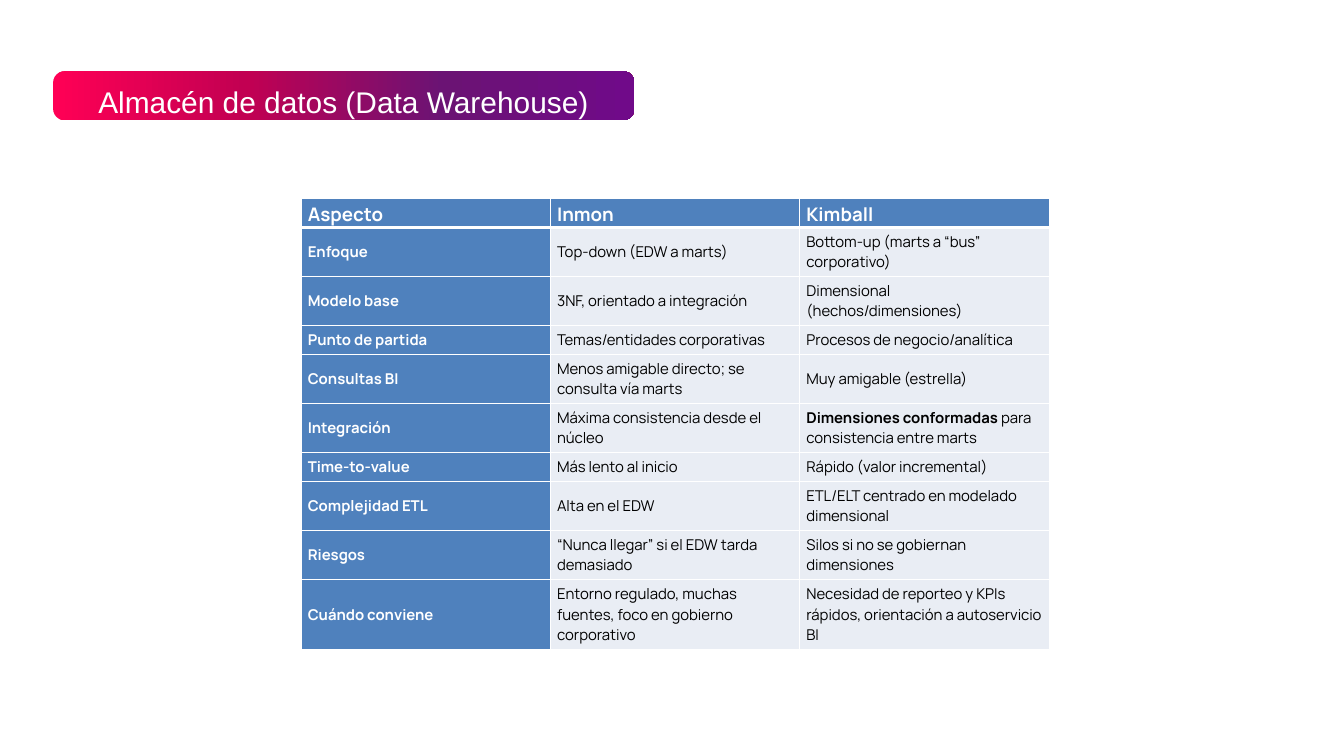
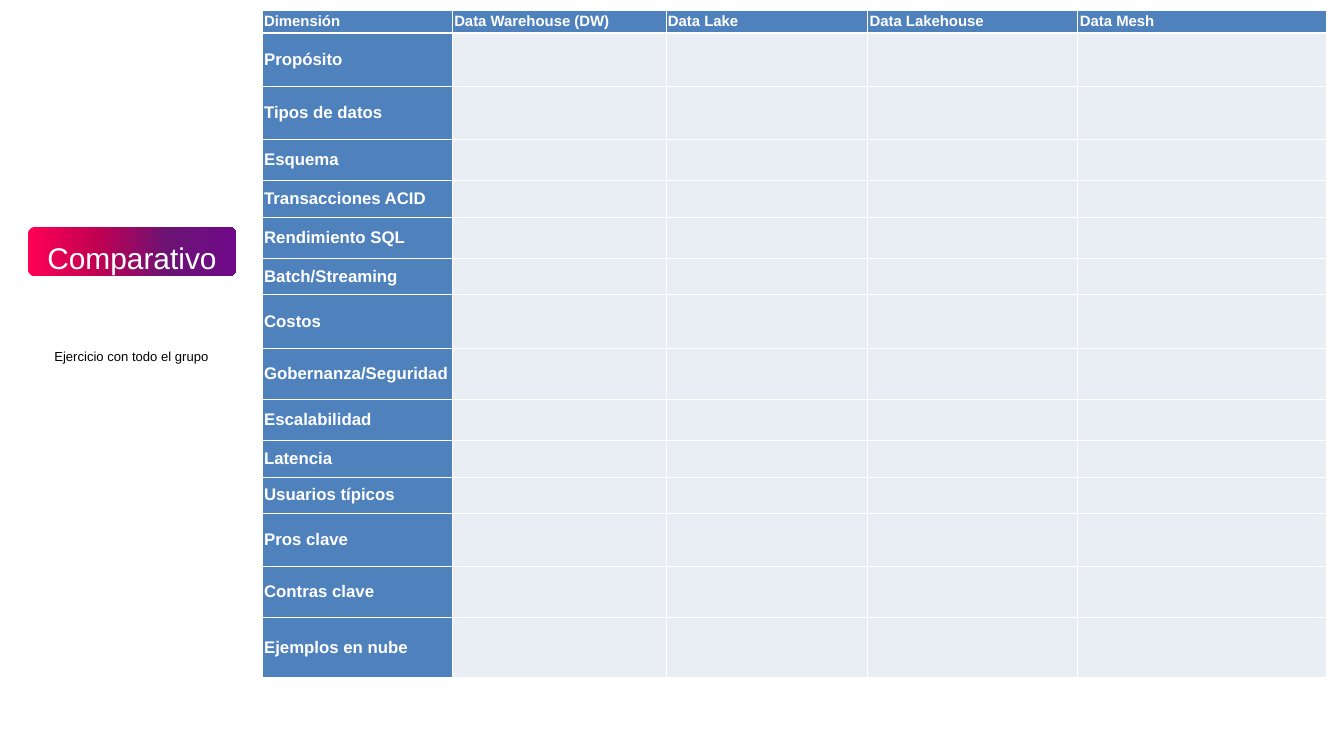
import pptx
import pptx.util
import pptx.dml.color
import pptx.enum.shapes
import pptx.enum.text
import pptx.oxml.ns
from lxml import etree

PX = 9144  # EMU per px, 100 px to the inch
COLORS = {"white": "FFFFFF", "black": "000000", "head": "4F81BD", "body": "E9EDF4"}
BANNER_STOPS = [(0, "FF0055"), (33, "C20052"), (67, "6B1374"), (100, "700A89")]

rgb = pptx.dml.color.RGBColor.from_string
Pt = pptx.util.Pt
qn = pptx.oxml.ns.qn


def add_banner(slide, left, top, width, radius, inset, text):
    """Title in white on a rounded bar with the shared gradient."""
    height = 73
    sp = slide.shapes.add_shape(
        pptx.enum.shapes.MSO_SHAPE.ROUNDED_RECTANGLE,
        left * PX, top * PX, width * PX, height * PX)
    sp.adjustments[0] = radius / height
    sp.shadow.inherit = False
    sp.line.fill.background()
    sp.fill.gradient()
    sp.fill.gradient_angle = 0
    stops = sp._element.spPr.find(".//" + qn("a:gsLst"))
    for gs in list(stops):
        stops.remove(gs)
    for percent, color in BANNER_STOPS:
        gs = etree.SubElement(stops, qn("a:gs"), pos=str(percent * 1000))
        etree.SubElement(gs, qn("a:srgbClr"), val=color)

    box = slide.shapes.add_textbox(
        (left + inset) * PX, (top + 8) * PX, (width - 2 * inset) * PX, height * PX)
    tf = box.text_frame
    tf.word_wrap = True
    tf.margin_left = tf.margin_right = tf.margin_top = tf.margin_bottom = 0
    p = tf.paragraphs[0]
    p.text = text
    p.alignment = pptx.enum.text.PP_ALIGN.CENTER
    p.line_spacing = 1.2
    font = p.runs[0].font
    font.size, font.name = Pt(32), "Arial"
    font.color.rgb = rgb(COLORS["white"])


def add_grid(slide, left, top, widths, heights, rows, font_name, sizes, margins):
    """Table with blue first row and column; **...** marks bold body text."""
    table = slide.shapes.add_table(
        len(heights), len(widths), left * PX, top * PX,
        sum(widths) * PX, sum(heights) * PX).table
    table.horz_banding = False
    for column, width in zip(table.columns, widths):
        column.width = width * PX
    for row, height in zip(table.rows, heights):
        row.height = height * PX

    for i, texts in enumerate(rows):
        for j in range(len(widths)):
            cell = table.cell(i, j)
            heading = i == 0 or j == 0
            cell.vertical_anchor = pptx.enum.text.MSO_ANCHOR.MIDDLE
            cell.margin_left = cell.margin_right = margins[0] * PX
            cell.margin_top = cell.margin_bottom = margins[1] * PX
            tcPr = cell._tc.get_or_add_tcPr()
            for side in "LRTB":
                thick = (i, side) in [(0, "B"), (1, "T")]
                ln = etree.SubElement(tcPr, qn("a:ln" + side), w=str(Pt(3 if thick else 1)))
                line_fill = etree.SubElement(ln, qn("a:solidFill"))
                etree.SubElement(line_fill, qn("a:srgbClr"), val=COLORS["white"])
            cell.fill.solid()
            cell.fill.fore_color.rgb = rgb(COLORS["head" if heading else "body"])
            if j >= len(texts):
                continue
            p = cell.text_frame.paragraphs[0]
            for k, part in enumerate(texts[j].split("**")):
                if not part:
                    continue
                r = p.add_run()
                r.text = part
                r.font.name = font_name
                r.font.size = Pt(sizes[0] if i == 0 else sizes[1])
                r.font.bold = heading or k % 2 == 1
                r.font.color.rgb = rgb(COLORS["white" if heading else "black"])


prs = pptx.Presentation()
prs.slide_width = 2000 * PX
prs.slide_height = 1125 * PX
blank = prs.slide_layouts[6]

# Slide 1: Inmon and Kimball
slide = prs.slides.add_slide(blank)
add_banner(slide, 79, 106, 865, 17, 14, "Almacén de datos (Data Warehouse)")
approaches = [
    ["Aspecto", "Inmon", "Kimball"],
    ["Enfoque", "Top-down (EDW a marts)", "Bottom-up (marts a “bus” corporativo)"],
    ["Modelo base", "3NF, orientado a integración", "Dimensional (hechos/dimensiones)"],
    ["Punto de partida", "Temas/entidades corporativas", "Procesos de negocio/analítica"],
    ["Consultas BI", "Menos amigable directo; se consulta vía marts",
     "Muy amigable (estrella)"],
    ["Integración", "Máxima consistencia desde el núcleo",
     "**Dimensiones conformadas** para consistencia entre marts"],
    ["Time-to-value", "Más lento al inicio", "Rápido (valor incremental)"],
    ["Complejidad ETL", "Alta en el EDW", "ETL/ELT centrado en modelado dimensional"],
    ["Riesgos", "“Nunca llegar” si el EDW tarda demasiado",
     "Silos si no se gobiernan dimensiones"],
    ["Cuándo conviene", "Entorno regulado, muchas fuentes, foco en gobierno corporativo",
     "Necesidad de reporteo y KPIs rápidos, orientación a autoservicio BI"],
]
add_grid(slide, 448, 295, [371] * 3, [43, 73, 73, 43, 73, 73, 43, 73, 73, 104],
         approaches, "Manrope", (20, 16), (10, 5))

# Slide 2: comparison to fill in
slide = prs.slides.add_slide(blank)
add_banner(slide, 41, 338, 311, 11, 5, "Comparativo")
architectures = ["Dimensión", "Data Warehouse (DW)", "Data Lake", "Data Lakehouse", "Data Mesh"]
dimensions = [
    ("Propósito", 79), ("Tipos de datos", 79), ("Esquema", 62),
    ("Transacciones ACID", 54), ("Rendimiento SQL", 62), ("Batch/Streaming", 54),
    ("Costos", 79), ("Gobernanza/Seguridad", 76), ("Escalabilidad", 62),
    ("Latencia", 54), ("Usuarios típicos", 54), ("Pros clave", 79),
    ("Contras clave", 76), ("Ejemplos en nube", 90),
]
add_grid(slide, 390, 15, [283, 318, 300, 313, 370],
         [34] + [height for _, height in dimensions],
         [architectures] + [[name] for name, _ in dimensions],
         "Arial", (16, 18), (3, 2))

sp = slide.shapes.add_textbox(71 * PX, 513 * PX, 251 * PX, 34 * PX)
tf = sp.text_frame
tf.word_wrap = False
tf.text = "Ejercicio con todo el grupo"
font = tf.paragraphs[0].runs[0].font
font.size, font.name = Pt(14), "Arial"
font.color.rgb = rgb(COLORS["black"])

prs.save("out.pptx")
